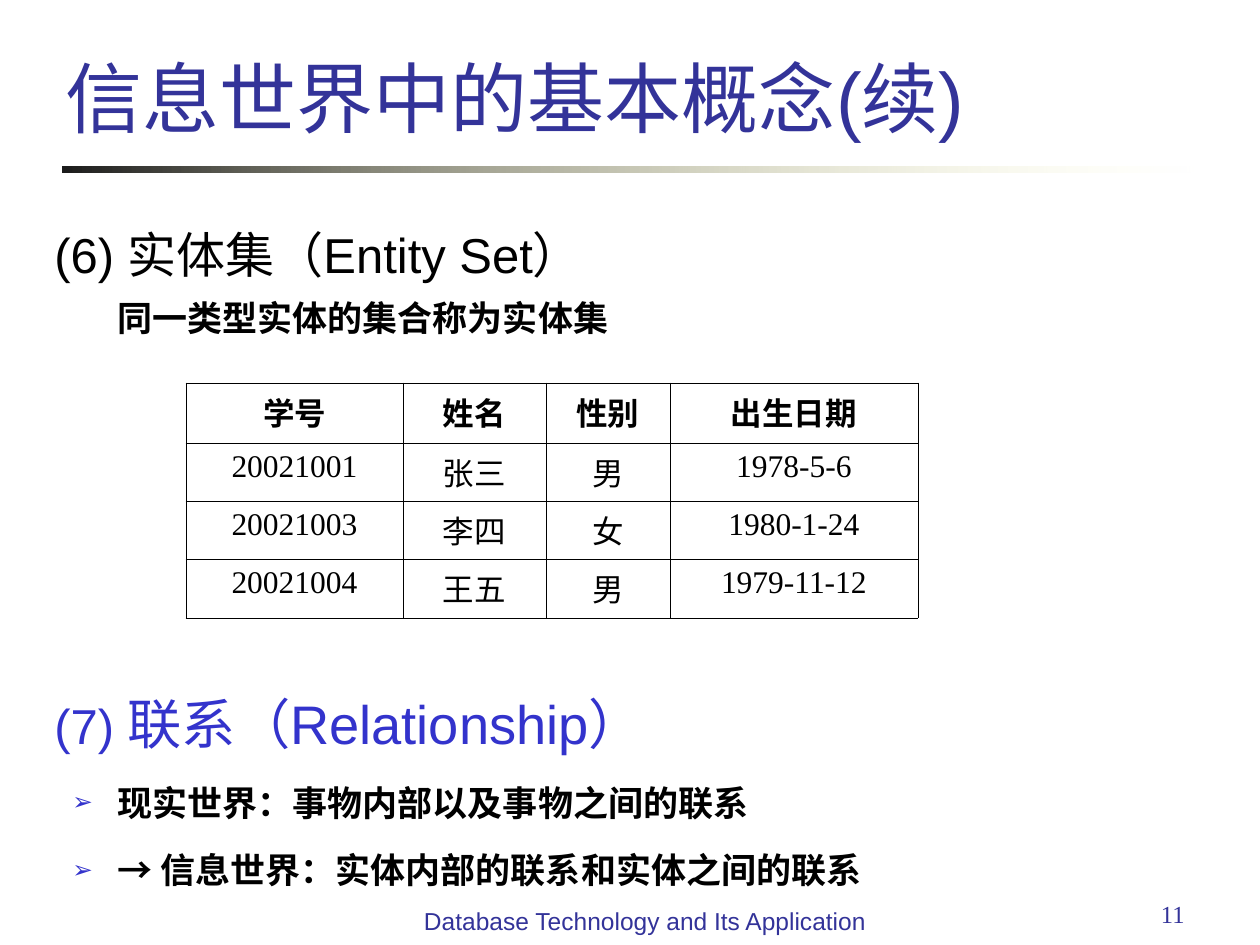
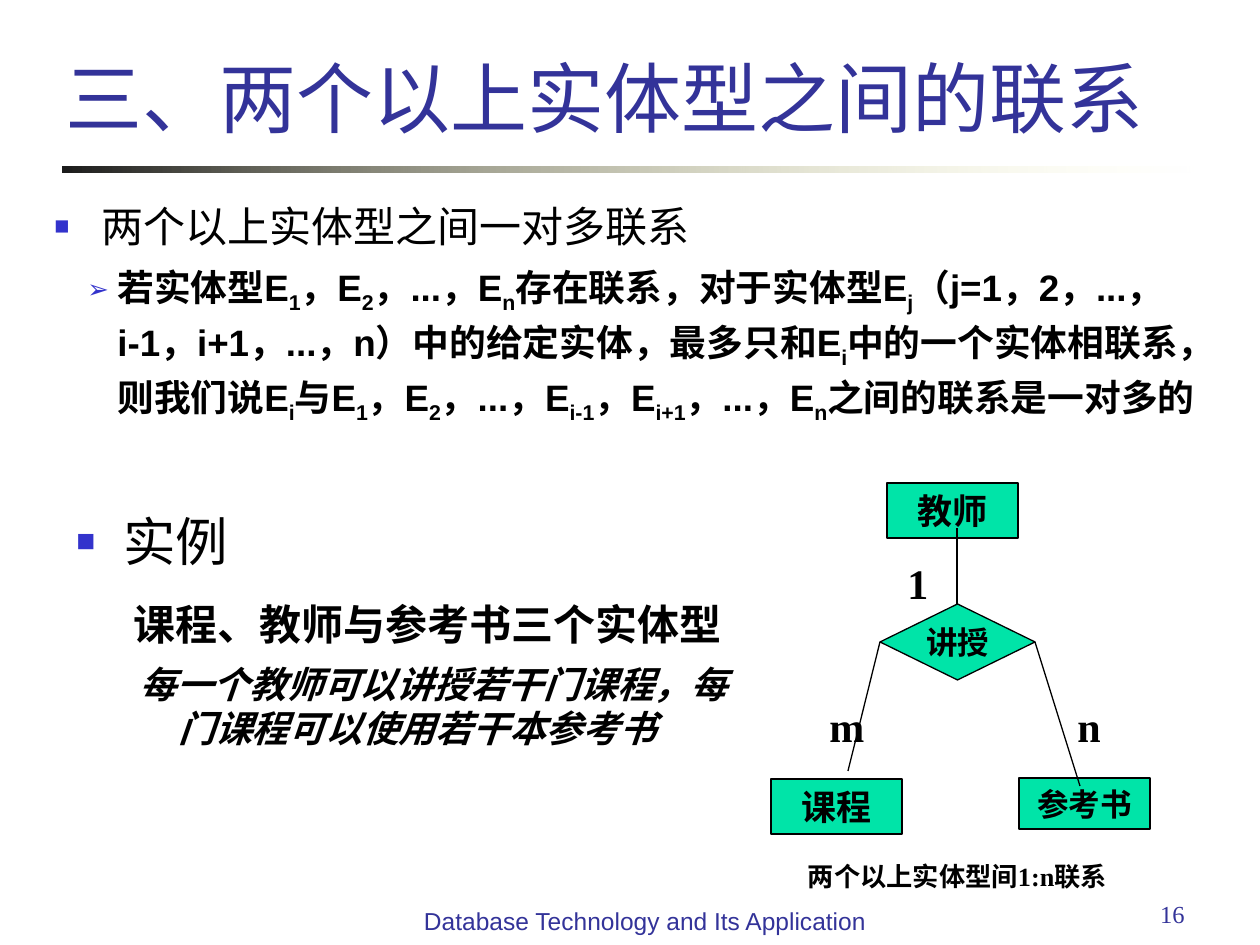
from dataclasses import dataclass

from lxml import etree
from pptx import Presentation
from pptx import util as u
from pptx.dml import color
from pptx.enum import shapes, text
from pptx.oxml import ns

PX = 914400 / 126


@dataclass(frozen=True)
class Theme:
    ink: str = "000000"
    title: str = "333399"
    accent: str = "3333CC"
    entity: str = "00E4A8"
    rule_start: str = "1C1C1C"
    rule_end: str = "FFFFB7"
    sans: str = "Arial"
    serif: str = "Times New Roman"
    title_size: int = 44
    heading_size: int = 28
    term_size: int = 31
    example_size: int = 30
    topic_size: int = 24
    detail_size: int = 21
    body_size: int = 20
    cell_size: int = 18
    caption_size: int = 15
    footer_size: int = 14


THEME = Theme()


@dataclass(frozen=True)
class Box:
    left: int
    top: int
    width: int
    height: int

    def inner(self, left, top, width, height):
        return Box(self.left + left, self.top + top, width, height)

    def emu(self):
        return [px(side) for side in (self.left, self.top, self.width, self.height)]


@dataclass(frozen=True)
class Bullet:
    symbol: str
    percent: int


@dataclass(frozen=True)
class Line:
    text: str
    size: int
    font: str = THEME.sans
    color: str = THEME.ink
    bold: bool = False
    italic: bool = False
    align: str = "LEFT"
    spacing: float = 1.0
    before: float = 0
    margin: int = 0
    indent: int = 0
    bullet: Bullet = None


SQUARE = Bullet("■", 60)
ARROW = Bullet("➢", 70)
SLIDE = Box(0, 0, 1260, 945)


def px(length):
    return u.Emu(round(length * PX))


def rgb(value):
    return color.RGBColor.from_string(value)


def add_element(parent, tag, **attributes):
    return etree.SubElement(parent, ns.qn(tag), attributes)


def add_bullet(properties, bullet):
    bullet_color = add_element(properties, "a:buClr")
    add_element(bullet_color, "a:srgbClr", val=THEME.accent)
    add_element(properties, "a:buSzPct", val=str(bullet.percent * 1000))
    add_element(properties, "a:buFont", typeface=THEME.sans)
    add_element(properties, "a:buChar", char=bullet.symbol)


def write_paragraph(paragraph, line):
    properties = paragraph._p.get_or_add_pPr()
    properties.set("marL", str(px(line.margin)))
    properties.set("indent", str(px(line.indent)))
    if line.bullet:
        add_bullet(properties, line.bullet)
    paragraph.alignment = getattr(text.PP_ALIGN, line.align)
    paragraph.line_spacing = line.spacing
    paragraph.space_before = u.Pt(line.before)
    font = paragraph.font
    font.name, font.size = line.font, u.Pt(line.size)
    font.bold, font.italic = line.bold, line.italic
    font.color.rgb = rgb(line.color)
    for index, piece in enumerate(line.text.split("~")):
        run = paragraph.add_run()
        run.text = piece
        if index % 2:
            run.font._element.set("baseline", "-25000")


def write_lines(frame, lines, anchor="TOP"):
    frame.word_wrap = True
    frame.vertical_anchor = getattr(text.MSO_ANCHOR, anchor)
    for index, line in enumerate(lines):
        paragraph = frame.add_paragraph() if index else frame.paragraphs[0]
        write_paragraph(paragraph, line)


def add_text(slide, box, *lines, anchor="TOP"):
    frame = slide.shapes.add_textbox(*box.emu()).text_frame
    write_lines(frame, lines, anchor)
    return frame


def add_node(slide, box, kind, label, size):
    node = slide.shapes.add_shape(kind, *box.emu())
    node.shadow.inherit = False
    node.fill.solid()
    node.fill.fore_color.rgb = rgb(THEME.entity)
    node.line.color.rgb = rgb(THEME.ink)
    node.line.width = u.Pt(0.75)
    line = Line(label, size, THEME.serif, bold=True, align="CENTER")
    write_lines(node.text_frame, [line], "MIDDLE")
    node.text_frame.word_wrap = kind == shapes.MSO_SHAPE.RECTANGLE


def add_link(slide, box, start, end):
    points = [px(value) for x, y in (start, end) for value in (box.left + x, box.top + y)]
    link = slide.shapes.add_connector(shapes.MSO_CONNECTOR.STRAIGHT, *points)
    link.line.color.rgb = rgb(THEME.ink)
    link.line.width = u.Pt(0.75)
    add_element(link._element.spPr, "a:effectLst")


def add_rule(slide, box):
    rule = slide.shapes.add_shape(shapes.MSO_SHAPE.RECTANGLE, *box.emu())
    rule.shadow.inherit = False
    rule.line.fill.background()
    rule.fill.gradient()
    rule.fill.gradient_angle = 0
    for stop, value in zip(rule.fill.gradient_stops, (THEME.rule_start, THEME.rule_end)):
        stop.color.rgb = rgb(value)
    end_color = rule._element.xpath(".//a:gs[last()]/a:srgbClr")[0]
    add_element(end_color, "a:alpha", val="0")


def add_frame(presentation, box, title, number):
    slide = presentation.slides.add_slide(presentation.slide_layouts[6])
    add_rule(slide, box.inner(63, 167, 1134, 6))
    add_text(slide, box.inner(53, 0, 1106, 149),
             Line(title, THEME.title_size, color=THEME.title), anchor="BOTTOM")
    add_text(slide, box.inner(903, 893, 294, 50),
             Line(str(number), THEME.footer_size, THEME.serif, THEME.title, align="RIGHT"))
    add_text(slide, box.inner(402, 900, 486, 44),
             Line("Database Technology and Its Application", THEME.footer_size,
                  color=THEME.title, align="CENTER"))
    return slide


def add_borders(cell):
    properties = cell._tc.get_or_add_tcPr()
    for side in ("L", "R", "T", "B"):
        border = add_element(properties, f"a:ln{side}", w=str(u.Pt(0.45)))
        fill = add_element(border, "a:solidFill")
        add_element(fill, "a:srgbClr", val=THEME.ink)


def add_student_table(slide, box):
    rows = [("学号", "姓名", "性别", "出生日期"),
            ("20021001", "张三", "男", "1978-5-6"),
            ("20021003", "李四", "女", "1980-1-24"),
            ("20021004", "王五", "男", "1979-11-12")]
    table = slide.shapes.add_table(len(rows), len(rows[0]), *box.emu()).table
    table.first_row = table.horz_banding = False
    for column, width in zip(table.columns, (217, 143, 124, 248)):
        column.width = px(width)
    for row, height in zip(table.rows, (60, 58, 58, 59)):
        row.height = px(height)
    for row_index, values in enumerate(rows):
        for column_index, value in enumerate(values):
            cell = table.cell(row_index, column_index)
            add_borders(cell)
            cell.fill.background()
            line = Line(value, THEME.cell_size, THEME.serif,
                        bold=row_index == 0, align="CENTER")
            write_paragraph(cell.text_frame.paragraphs[0], line)


def add_entity_set(slide, box):
    add_text(slide, box,
             Line("(6) 实体集（Entity Set）", THEME.heading_size, spacing=1.5),
             Line("同一类型实体的集合称为实体集", THEME.body_size, bold=True,
                  spacing=1.1, before=5, margin=63))
    add_student_table(slide, box.inner(144, 194, 732, 235))


def add_relationship(slide, box):
    worlds = ("现实世界：事物内部以及事物之间的联系",
              "→ 信息世界：实体内部的联系和实体之间的联系")
    frame = add_text(slide, box,
                     Line("(7) ", THEME.heading_size, color=THEME.accent, spacing=1.1),
                     *(Line(world, THEME.body_size, bold=True, spacing=1.4, before=5,
                            margin=63, indent=-45, bullet=ARROW) for world in worlds))
    term = frame.paragraphs[0].add_run()
    term.text = "联系（Relationship）"
    term.font.size = u.Pt(THEME.term_size)


def add_definition(slide, box):
    definition = ("若实体型E~1~，E~2~，...，E~n~存在联系，对于实体型E~j~"
                  "（j=1，2，...，i-1，i+1，...，n）中的给定实体，最多只和E~i~"
                  "中的一个实体相联系，则我们说E~i~与E~1~，E~2~，...，E~i-1~，"
                  "E~i+1~，...，E~n~之间的联系是一对多的")
    add_text(slide, box,
             Line("两个以上实体型之间一对多联系", THEME.topic_size, spacing=1.1,
                  margin=47, indent=-47, bullet=SQUARE),
             Line(definition, THEME.detail_size, bold=True, spacing=1.1, before=5.2,
                  margin=63, indent=-30, bullet=ARROW))


def add_example(slide, box):
    add_text(slide, box,
             Line("实例", THEME.example_size, THEME.serif,
                  margin=47, indent=-47, bullet=SQUARE),
             Line("课程、教师与参考书三个实体型", THEME.topic_size, THEME.serif,
                  bold=True, before=15, margin=57),
             Line("每一个教师可以讲授若干门课程，每门课程可以使用若干本参考书",
                  THEME.detail_size, bold=True, italic=True, before=7.2,
                  margin=102, indent=-39))


def add_teaching_diagram(slide, box):
    rectangle, diamond = shapes.MSO_SHAPE.RECTANGLE, shapes.MSO_SHAPE.DIAMOND
    nodes = [("教师", rectangle, (138, 0, 131, 55), THEME.body_size),
             ("讲授", diamond, (131, 121, 155, 76), THEME.cell_size),
             ("课程", rectangle, (22, 296, 131, 55), THEME.body_size),
             ("参考书", rectangle, (270, 295, 131, 51), THEME.cell_size)]
    links = [((208, 121), (208, 45)), ((131, 159), (99, 288)), ((286, 159), (331, 303))]
    for label, kind, place, size in nodes:
        add_node(slide, box.inner(*place), kind, label, size)
    for start, end in links:
        add_link(slide, box, start, end)
    for label, left, top in (("1", 146, 68), ("m", 68, 211), ("n", 316, 211)):
        add_text(slide, box.inner(left, top, 64, 63),
                 Line(label, THEME.topic_size, THEME.serif, bold=True))
    add_text(slide, box.inner(0, 371, 417, 44),
             Line("两个以上实体型间1:n联系", THEME.caption_size, THEME.serif,
                  bold=True, align="CENTER"))


def build_concepts_slide(presentation, box):
    slide = add_frame(presentation, box, "信息世界中的基本概念(续)", 11)
    add_entity_set(slide, box.inner(42, 189, 1182, 160))
    add_relationship(slide, box.inner(42, 678, 1182, 222))


def build_relationship_slide(presentation, box):
    slide = add_frame(presentation, box, "三、两个以上实体型之间的联系", 16)
    add_definition(slide, box.inner(42, 189, 1192, 300))
    add_example(slide, box.inner(64, 503, 698, 300))
    add_teaching_diagram(slide, box.inner(749, 483, 417, 415))


def main():
    presentation = Presentation()
    presentation.slide_width, presentation.slide_height = px(SLIDE.width), px(SLIDE.height)
    build_concepts_slide(presentation, SLIDE)
    build_relationship_slide(presentation, SLIDE)
    presentation.save("out.pptx")


if __name__ == "__main__":
    main()
